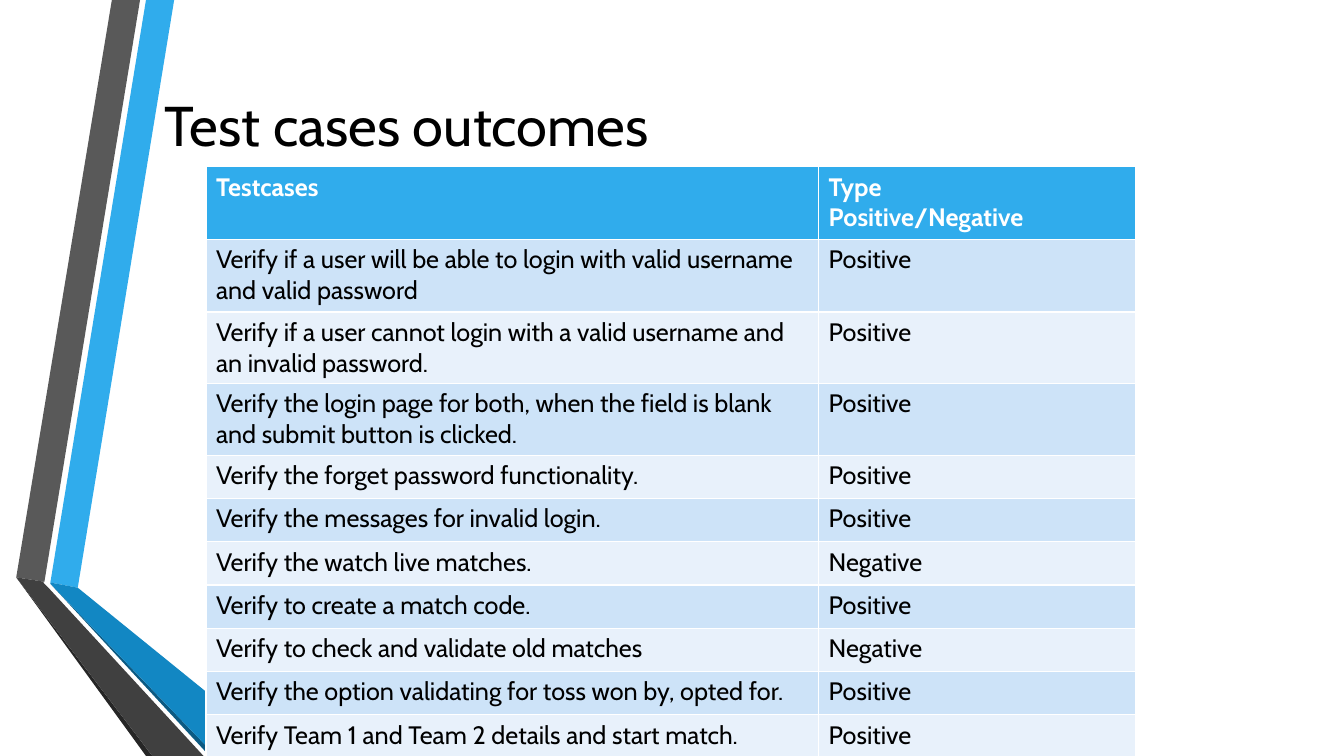
"""Build the slide that lists the test cases and their outcomes."""
from typing import NamedTuple

from pptx import Presentation
from pptx.dml.color import RGBColor
from pptx.enum.text import MSO_ANCHOR, PP_ALIGN
from pptx.slide import Slide
from pptx.table import _Cell
from pptx.text.text import TextFrame
from pptx.util import Cm, Pt

FONT_NAME = "Cabin"
BLACK = RGBColor(0x00, 0x00, 0x00)
WHITE = RGBColor(0xFF, 0xFF, 0xFF)
SKY_BLUE = RGBColor(0x30, 0xAC, 0xEC)
DEEP_BLUE = RGBColor(0x12, 0x87, 0xC3)
NAVY = RGBColor(0x0C, 0x5A, 0x82)
GREY = RGBColor(0x59, 0x59, 0x59)
CHARCOAL = RGBColor(0x40, 0x40, 0x40)
NEAR_BLACK = RGBColor(0x26, 0x26, 0x26)
ROW_COLORS = (RGBColor(0xCD, 0xE3, 0xF8), RGBColor(0xE8, 0xF1, 0xFB))


class Band(NamedTuple):
    color: RGBColor
    corners: tuple[tuple[float, float], ...]


class TestCase(NamedTuple):
    description: str
    outcome: str
    height: float = 1.09


BANDS = (
    Band(SKY_BLUE, ((1.27, 14.68), (1.96, 14.81), (4.39, 0), (3.68, 0))),
    Band(GREY, ((3.53, 0), (2.82, 0), (0.41, 14.55), (1.12, 14.66))),
    Band(NEAR_BLACK, ((0.41, 14.55), (3.68, 19.05), (3.84, 19.05))),
    Band(NAVY, ((1.27, 14.71), (5.28, 19.05), (5.44, 19.05))),
    Band(DEEP_BLUE, ((1.27, 14.68), (1.27, 14.71), (5.44, 19.05), (7.19, 19.05), (1.96, 14.81))),
    Band(CHARCOAL, ((5.13, 19.05), (1.22, 14.81), (1.09, 14.68), (1.12, 14.66),
                    (0.41, 14.55), (3.84, 19.05))),
)

COLUMN_WIDTHS = (15.44, 7.98)
TEST_CASES = (
    TestCase("Testcases", "Type\nPositive/Negative", 1.83),
    TestCase("Verify if a user will be able to login with valid username and valid password",
             "Positive", 1.83),
    TestCase("Verify if a user cannot login with a valid username and an invalid password.",
             "Positive", 1.68),
    TestCase("Verify the login page for both, when the field is blank and submit button is clicked.",
             "Positive", 1.68),
    TestCase("Verify the forget password functionality.", "Positive"),
    TestCase("Verify the messages for invalid login.", "Positive"),
    TestCase("Verify the watch live matches.", "Negative"),
    TestCase("Verify to create a match code.", "Positive"),
    TestCase("Verify to check and validate old matches", "Negative"),
    TestCase("Verify the option validating for toss won by, opted for.", "Positive"),
    TestCase("Verify Team 1 and Team 2 details and start match.", "Positive"),
)


def format_text(text_frame: TextFrame, size: float, color: RGBColor, bold: bool = False) -> None:
    """Left-align the text and set the font of every run."""
    for paragraph in text_frame.paragraphs:
        paragraph.alignment = PP_ALIGN.LEFT
        for run in paragraph.runs:
            run.font.name = FONT_NAME
            run.font.size = Pt(size)
            run.font.bold = bold
            run.font.color.rgb = color


def draw_band(slide: Slide, band: Band) -> None:
    """Draw one filled polygon of the ribbon."""
    start, *others = [(Cm(x), Cm(y)) for x, y in band.corners]
    builder = slide.shapes.build_freeform(*start)
    builder.add_line_segments(others, close=True)
    shape = builder.convert_to_shape()
    shape.shadow.inherit = False
    shape.fill.solid()
    shape.fill.fore_color.rgb = band.color
    shape.line.fill.background()


def place_title(slide: Slide) -> None:
    """Fill the title placeholder and bring it in front of the ribbon."""
    title = slide.shapes.title
    title.left, title.top, title.width, title.height = Cm(3.89), Cm(1.9), Cm(28.07), Cm(2.46)
    title.text_frame.text = "Test cases outcomes"
    title.text_frame.vertical_anchor = MSO_ANCHOR.MIDDLE
    format_text(title.text_frame, 40, BLACK)
    title.element.getparent().append(title.element)


def fill_cell(cell: _Cell, text: str, row_index: int) -> None:
    """Write one table cell in the colours of its row."""
    is_header = row_index == 0
    cell.text_frame.text = text
    format_text(cell.text_frame, 18, WHITE if is_header else BLACK, is_header)
    cell.fill.solid()
    cell.fill.fore_color.rgb = SKY_BLUE if is_header else ROW_COLORS[(row_index - 1) % 2]


def add_outcome_table(slide: Slide) -> None:
    """Add the table of test cases."""
    height = sum(test_case.height for test_case in TEST_CASES)
    table = slide.shapes.add_table(len(TEST_CASES), len(COLUMN_WIDTHS), Cm(5.19), Cm(4.2),
                                   Cm(sum(COLUMN_WIDTHS)), Cm(height)).table
    for column, width in zip(table.columns, COLUMN_WIDTHS):
        column.width = Cm(width)
    for row_index, test_case in enumerate(TEST_CASES):
        row = table.rows[row_index]
        row.height = Cm(test_case.height)
        for cell, text in zip(row.cells, (test_case.description, test_case.outcome)):
            fill_cell(cell, text, row_index)


def main() -> None:
    """Build and save the presentation."""
    presentation = Presentation()
    presentation.slide_width, presentation.slide_height = Cm(33.87), Cm(19.05)
    slide = presentation.slides.add_slide(presentation.slide_layouts[5])
    for band in BANDS:
        draw_band(slide, band)
    place_title(slide)
    add_outcome_table(slide)
    presentation.save("out.pptx")


if __name__ == "__main__":
    main()
